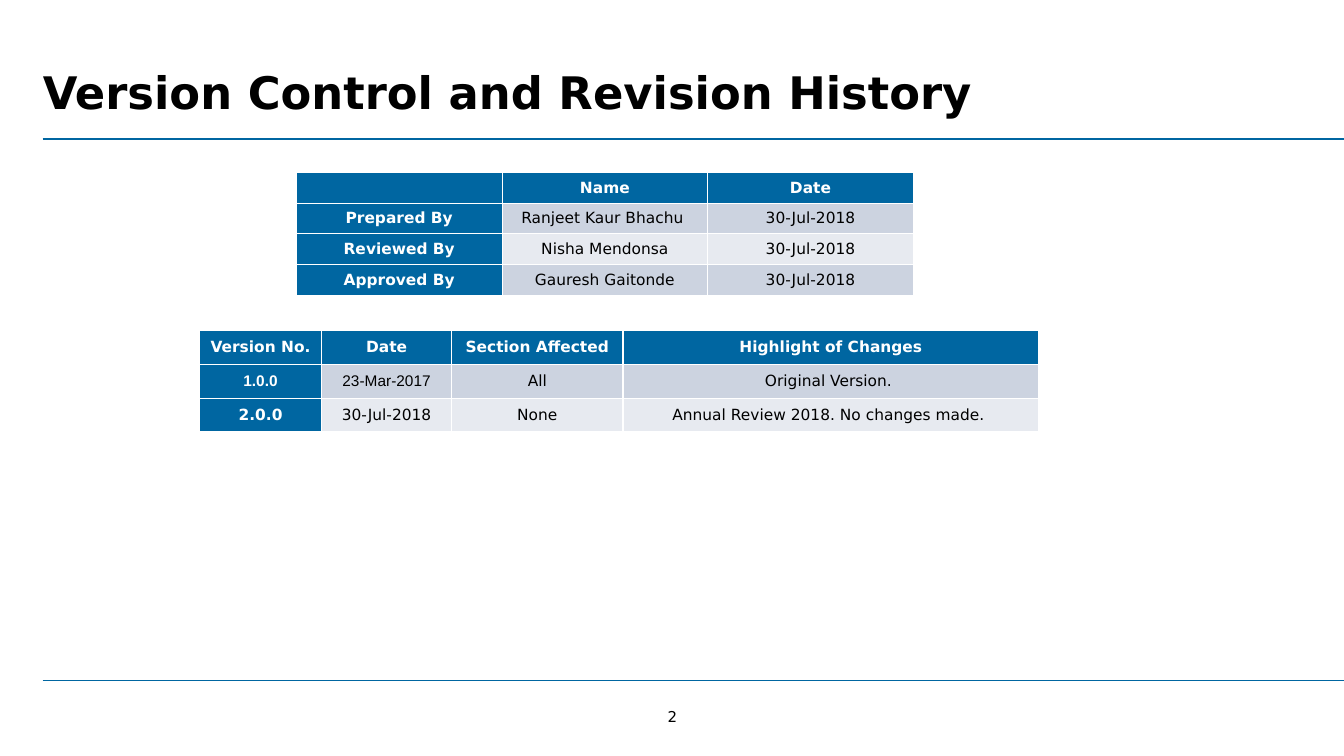
from pptx import Presentation
from pptx.dml.color import RGBColor
from pptx.enum.shapes import MSO_CONNECTOR
from pptx.enum.text import MSO_ANCHOR, PP_ALIGN
from pptx.oxml.ns import qn
from pptx.util import Inches, Pt
from lxml import etree

LEFT, CENTER = PP_ALIGN.LEFT, PP_ALIGN.CENTER
TOP, MIDDLE = MSO_ANCHOR.TOP, MSO_ANCHOR.MIDDLE
STRAIGHT = MSO_CONNECTOR.STRAIGHT
BLUE, BLACK, WHITE = "0066A1", "000000", "FFFFFF"
BANDS = ("CCD3E0", "E7EAF0")
FONT, ALT = "DejaVu Sans", "Arial"
EDGE = 3.18


def color(code):
    return RGBColor.from_string(code)


class Page:
    """Places elements on a grid of 100 columns by 100 rows."""

    def __init__(self, deck):
        self.wide, self.high = deck.slide_width, deck.slide_height
        self.slide = deck.slides.add_slide(deck.slide_layouts[5])

    def col(self, n):
        return round(self.wide * n / 100)

    def row(self, n):
        return round(self.high * n / 100)

    def box(self, x, y, w, h):
        return self.col(x), self.row(y), self.col(w), self.row(h)

    def style(self, para, size, align=CENTER, ink=BLACK, bold=False, face=FONT):
        para.alignment = align
        font = para.font
        font.name, font.size, font.bold = face, Pt(size), bold
        font.color.rgb = color(ink)

    def inset(self, item, side, end):
        item.margin_left = item.margin_right = Inches(side)
        item.margin_top = item.margin_bottom = Inches(end)

    def title(self, text, *area):
        shape = self.slide.shapes.title
        shape.left, shape.top, shape.width, shape.height = self.box(*area)
        frame = shape.text_frame
        frame.text = text
        frame.vertical_anchor = TOP
        self.inset(frame, 0, 0.05)
        self.style(frame.paragraphs[0], 32, LEFT, bold=True)

    def label(self, text, *area):
        frame = self.slide.shapes.add_textbox(*self.box(*area)).text_frame
        frame.text = text
        frame.word_wrap = False
        frame.vertical_anchor = MIDDLE
        self.inset(frame, 0, 0)
        self.style(frame.paragraphs[0], 10.7)

    def rule(self, y):
        line = self.slide.shapes.add_connector(
            STRAIGHT, self.col(EDGE), self.row(y), self.wide, self.row(y))
        line.line.color.rgb = color(BLUE)
        line.line.width = Pt(1.25)
        etree.SubElement(line._element.spPr, qn("a:effectLst"))

    def table(self, x, y, cols, step, rows, inset, alt=()):
        """Draw a table with blue heads; alt lists the cells set in ALT."""
        area = self.box(x, y, sum(cols), step * len(rows))
        table = self.slide.shapes.add_table(len(rows), len(cols), *area).table
        table.first_col = True
        for c, width in enumerate(cols):
            table.columns[c].width = self.col(width)
        for r, texts in enumerate(rows):
            table.rows[r].height = self.row(step)
            for c, text in enumerate(texts):
                cell = table.cell(r, c)
                head = r == 0 or c == 0
                cell.text = text
                cell.vertical_anchor = MIDDLE
                self.inset(cell, *(inset if r else (0.07, 0.04)))
                cell.fill.solid()
                cell.fill.fore_color.rgb = color(BLUE if head else BANDS[(r - 1) % 2])
                self.style(cell.text_frame.paragraphs[0], 11,
                           ink=WHITE if head else BLACK, bold=head,
                           face=ALT if (r, c) in alt else FONT)


def main():
    deck = Presentation()
    deck.slide_width, deck.slide_height = Inches(13.33), Inches(7.5)
    page = Page(deck)
    page.label("2", 49.06, 93.6, 1.95, 2.4)
    page.rule(18.4)
    page.rule(90)
    page.title("Version Control and Revision History", EDGE, 7.87, 94.9, 11.07)
    page.table(22.06, 22.8, [15.3] * 3, 4.07, [
        ("", "Name", "Date"),
        ("Prepared By", "Ranjeet Kaur Bhachu ", "30-Jul-2018"),
        ("Reviewed By", "Nisha Mendonsa", "30-Jul-2018"),
        ("Approved By", "Gauresh Gaitonde", "30-Jul-2018"),
    ], (0.07, 0.04))
    page.table(14.85, 43.75, [9.08, 9.68, 12.75, 30.95], 4.47, [
        ("Version No.", "Date", "Section Affected", "Highlight of Changes"),
        ("1.0.0", "23-Mar-2017", "All", "Original Version. "),
        ("2.0.0", "30-Jul-2018", "None", "Annual Review 2018. No changes made. "),
    ], (0.06, 0), alt={(1, 0), (1, 1)})
    deck.save("out.pptx")


if __name__ == "__main__":
    main()
